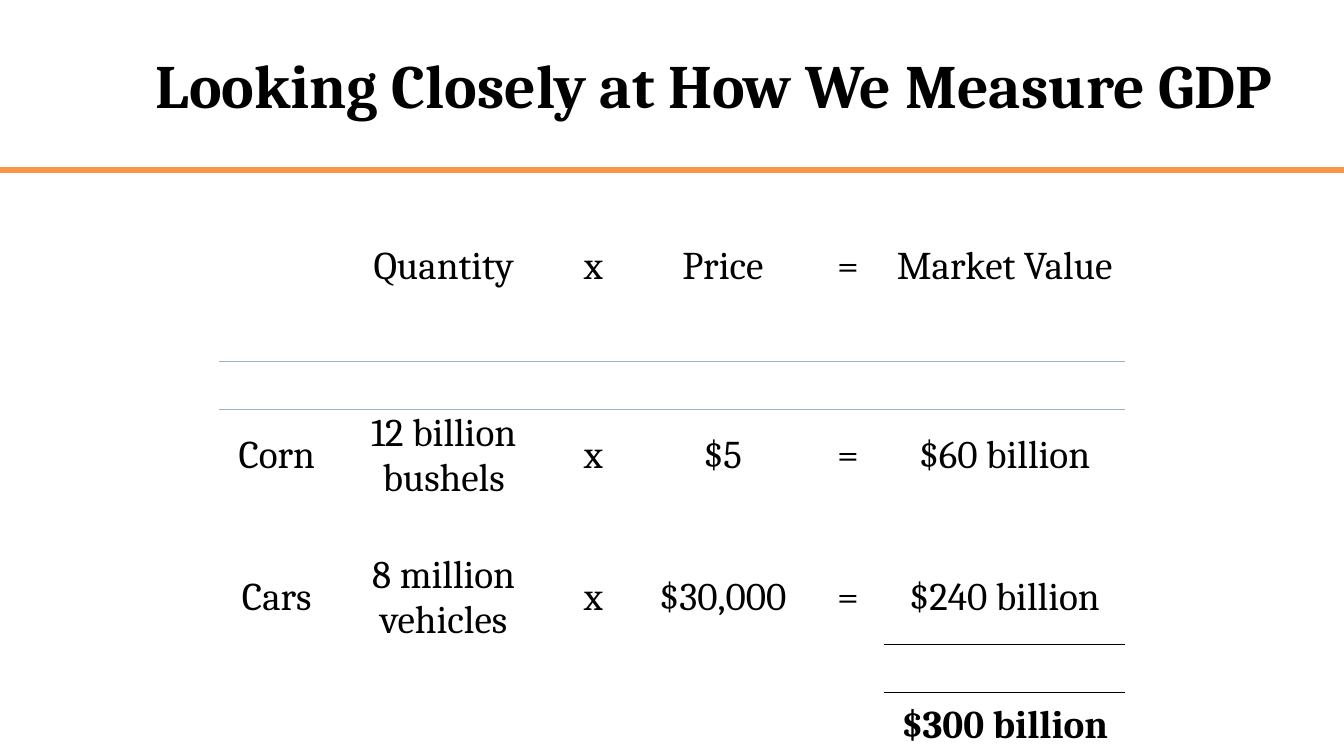
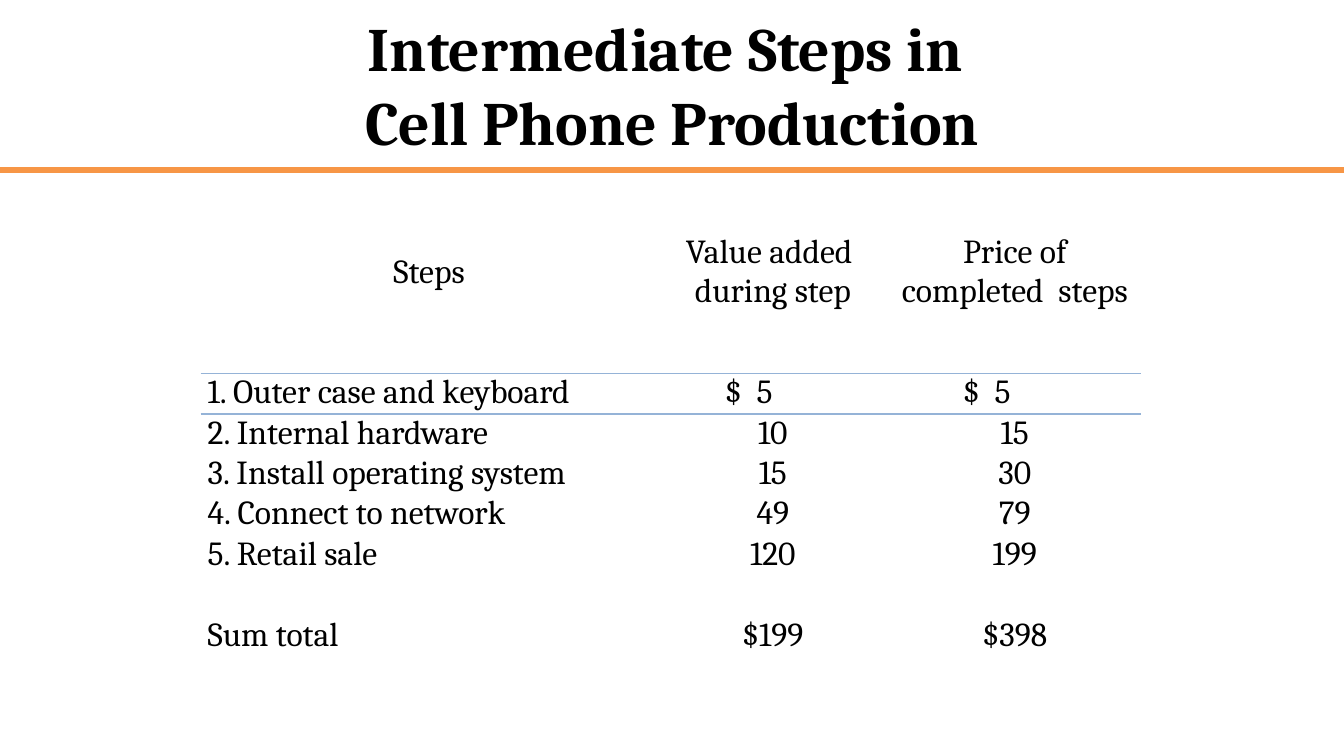
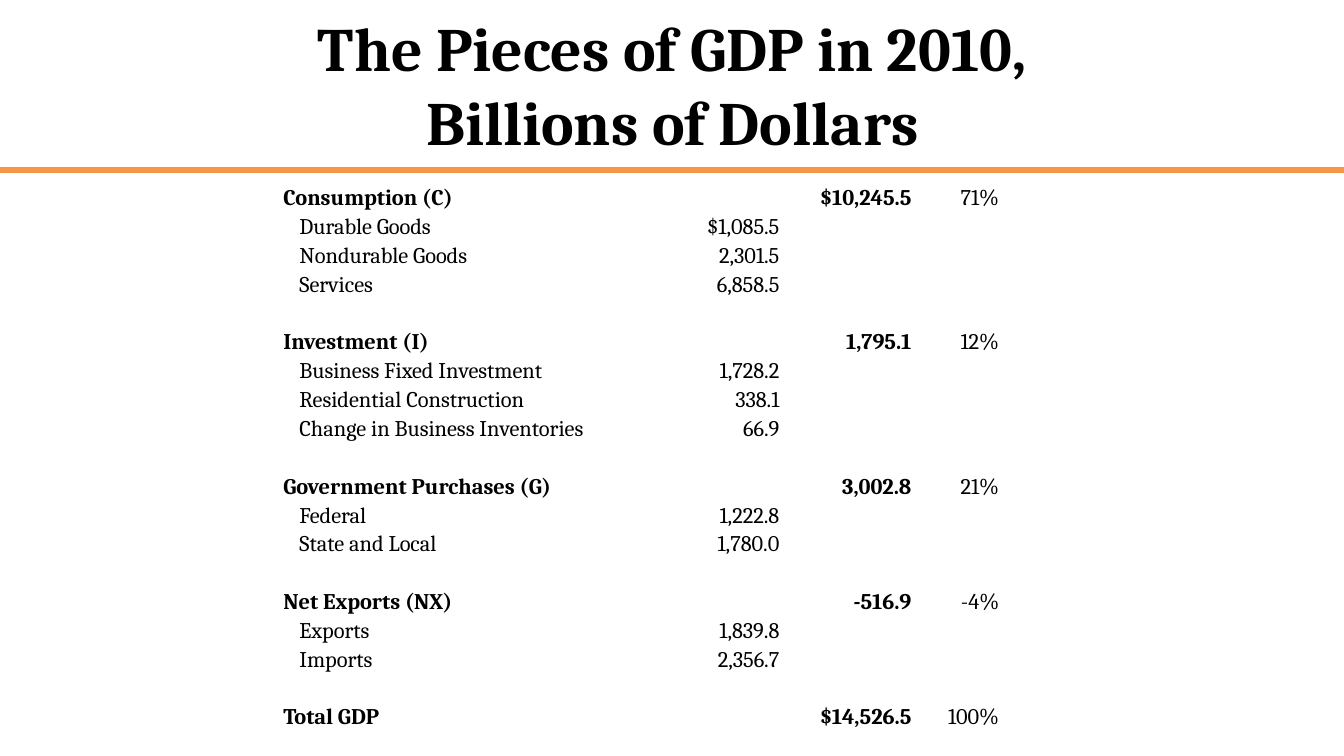
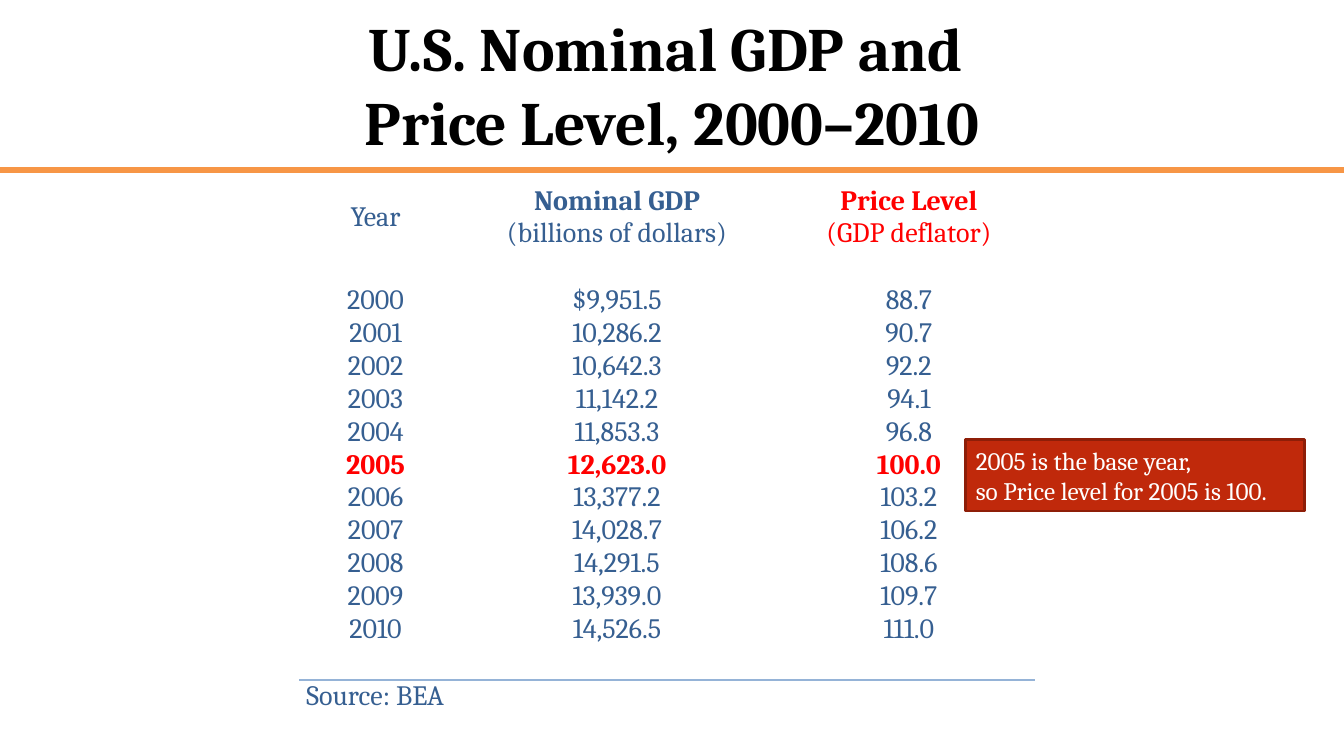
import lxml.etree
import pptx
import pptx.dml.color
import pptx.enum.shapes
import pptx.enum.text
import pptx.oxml.ns
import pptx.util

Inches = pptx.util.Inches
Pt = pptx.util.Pt
qn = pptx.oxml.ns.qn
ALIGN = pptx.enum.text.PP_ALIGN
ANCHOR = pptx.enum.text.MSO_ANCHOR

# Shared look
FONT = "Cambria"
BLACK, WHITE, RED = "000000", "FFFFFF", "FF0000"
ORANGE, NAVY, PALE_BLUE = "F79646", "365F91", "95B3D7"
BRICK, DARK_BRICK = "C0290B", "8E1E08"
SLIDE_WIDTH, SLIDE_HEIGHT = 13.33, 7.5
TITLE_BOX = (2.17, 0, 9, 1.67)
PLAIN_TABLE_STYLE = "{2D5ABB26-0587-4C30-8999-92F81FD0307C}"


def rgb(color):
    return pptx.dml.color.RGBColor.from_string(color)


def place(shape, box):
    shape.left, shape.top, shape.width, shape.height = map(Inches, box)


def add_run(paragraph, text, size, color=BLACK, bold=False):
    run = paragraph.add_run()
    run.text = text
    run.font.name = FONT
    run.font.size = Pt(size)
    run.font.bold = bold
    run.font.color.rgb = rgb(color)


def set_up_layout(presentation):
    """Place the title and the orange rule on the layout all slides use."""
    layout = presentation.slide_layouts.get_by_name("Title Only")
    place(layout.placeholders[0], TITLE_BOX)
    return layout


def add_rule(layout, slide):
    """Draw the rule, then hand it to the layout so every slide shows it."""
    rule = slide.shapes.add_connector(
        pptx.enum.shapes.MSO_CONNECTOR.STRAIGHT,
        0, Inches(1.69), Inches(SLIDE_WIDTH), Inches(1.69))
    rule.line.color.rgb = rgb(ORANGE)
    rule.line.width = Pt(4.5)
    lxml.etree.SubElement(rule.element.spPr, qn("a:effectLst"))
    rule.element.xpath(".//p:cNvPr")[0].set("id", "100")
    layout.shapes.element.append(rule.element)


def add_slide(presentation, layout, title_lines):
    slide = presentation.slides.add_slide(layout)
    frame = slide.shapes.title.text_frame
    frame.auto_size = pptx.enum.text.MSO_AUTO_SIZE.NONE
    frame.vertical_anchor = ANCHOR.MIDDLE
    paragraph = frame.paragraphs[0]
    paragraph.alignment = ALIGN.CENTER
    for index, line in enumerate(title_lines):
        if index:
            paragraph.add_line_break()
        add_run(paragraph, line, 44, bold=True)
    return slide


# Tables
def fill_cell(cell, text, size, style):
    """Write a cell; style(line) gives align, anchor, indent, color, bold."""
    cell.margin_left = cell.margin_right = Inches(0.07)
    cell.margin_top = cell.margin_bottom = 0
    cell.fill.background()
    frame = cell.text_frame
    for line, words in enumerate(text.split("\n")):
        look = style(line)
        paragraph = frame.add_paragraph() if line else frame.paragraphs[0]
        if not words:
            lxml.etree.SubElement(paragraph._p, qn("a:endParaRPr"),
                                  sz=str(size * 100))
            continue
        cell.vertical_anchor = look.get("anchor", ANCHOR.MIDDLE)
        paragraph.alignment = look.get("align", ALIGN.CENTER)
        if "indent" in look:
            properties = paragraph._p.get_or_add_pPr()
            properties.set("marL", str(Inches(look["indent"])))
        add_run(paragraph, words, size, look.get("color", BLACK),
                look.get("bold", False))


def add_table(slide, left, top, columns, heights, rows, size, style):
    frame = slide.shapes.add_table(
        len(rows), len(columns), Inches(left), Inches(top),
        Inches(sum(columns)), Inches(sum(heights)))
    table = frame.table
    table.first_row = table.horz_banding = False
    frame.element.xpath(".//a:tableStyleId")[0].text = PLAIN_TABLE_STYLE
    for column, width in zip(table.columns, columns):
        column.width = Inches(width)
    for row, height in zip(table.rows, heights):
        row.height = Inches(height)
    for r, texts in enumerate(rows):
        for c, text in enumerate(texts):
            fill_cell(table.cell(r, c), text, size,
                      lambda line, r=r, c=c: style(r, c, line))
    return table


def rule_below(table, row, columns, color):
    """Draw a 1 pt line between a row and the next one."""
    for column in columns:
        for r, tag in ((row, "a:lnB"), (row + 1, "a:lnT")):
            properties = table.cell(r, column)._tc.get_or_add_tcPr()
            line = lxml.etree.Element(qn(tag), w=str(Pt(1)))
            fill = lxml.etree.SubElement(line, qn("a:solidFill"))
            lxml.etree.SubElement(fill, qn("a:srgbClr"), val=color)
            properties.insert(0, line)


# Slides
def add_market_value_table(slide):
    blank = [""] * 6
    rows = [
        ["", "Quantity", "x", "Price", "=", "Market Value"],
        blank, blank,
        ["Corn", "12 billion bushels", "x", "$5", "=", "$60 billion"],
        blank,
        ["Cars", "8 million vehicles", "x", "$30,000", "=", "$240 billion"],
        blank,
        ["", "", "", "", "", "$300 billion"],
    ]
    table = add_table(
        slide, 2.17, 2.18, [1.15, 2.16, 0.81, 1.76, 0.72, 2.39],
        [0.93, 0.47, 0.47, 0.93, 0.47, 0.93, 0.47, 0.65], rows, 28,
        lambda row, column, line: {"bold": row == len(rows) - 1})
    rule_below(table, 1, range(6), PALE_BLUE)
    rule_below(table, 5, [5], BLACK)


def add_steps_table(slide):
    rows = [
        ["Steps", "Value added \nduring step", "Price of completed  steps"],
        ["", "", ""],
        ["1. Outer case and keyboard", "$  5", "$  5"],
        ["2. Internal hardware", "10", "15"],
        ["3. Install operating system", "15", "30"],
        ["4. Connect to network", "49", "79"],
        ["5. Retail sale", "120", "199"],
        ["", "", ""],
        ["Sum total", "$199", "$398"],
    ]

    def style(row, column, line):
        if row == 0:
            return {}
        look = {"anchor": ANCHOR.TOP}
        if column == 0 or row == 2:
            look["align"] = ALIGN.LEFT
            look["indent"] = (0, 0.6, 0.67)[column]
        return look

    table = add_table(slide, 1.99, 2.1, [4.53, 2.29, 2.51],
                      [1.2] + [0.4] * 8, rows, 24, style)
    rule_below(table, 1, range(3), PALE_BLUE)


def add_gdp_pieces_table(slide):
    groups = [
        ("Consumption (C)", "$10,245.5", "71%",
         [("Durable Goods", "$1,085.5"), ("Nondurable Goods", "2,301.5"),
          ("Services", "6,858.5")]),
        ("Investment (I)", "1,795.1", "12%",
         [("Business Fixed Investment", "1,728.2"),
          ("Residential Construction", "338.1"),
          ("Change in Business Inventories", "66.9")]),
        ("Government Purchases (G)", "3,002.8", "21%",
         [("Federal", "1,222.8"), ("State and Local", "1,780.0")]),
        ("Net Exports (NX)", "-516.9", "-4%",
         [("Exports", "1,839.8"), ("Imports", "2,356.7")]),
        ("Total GDP", "$14,526.5", "100%", []),
    ]
    rows = []
    for name, total, share, parts in groups:
        if rows:
            rows.append([""] * 4)
        rows.append([name, "", total, share])
        rows.extend([part, value, "", ""] for part, value in parts)

    def style(row, column, line):
        is_group = bool(rows[row][2])
        look = {"anchor": ANCHOR.TOP, "bold": is_group and column < 3,
                "align": ALIGN.RIGHT if column else ALIGN.LEFT}
        if column == 0 and not is_group:
            look["indent"] = 0.16
        return look

    add_table(slide, 2.74, 1.84, [3.89, 1.17, 1.31, 0.87],
              [5.44 / len(rows)] * len(rows), rows, 16, style)


def add_price_level_table(slide):
    nominal_gdp = ["$9,951.5", "10,286.2", "10,642.3", "11,142.2",
                   "11,853.3", "12,623.0", "13,377.2", "14,028.7",
                   "14,291.5", "13,939.0", "14,526.5"]
    price_level = ["88.7", "90.7", "92.2", "94.1", "96.8", "100.0",
                   "103.2", "106.2", "108.6", "109.7", "111.0"]
    years = [str(year) for year in range(2000, 2011)]
    blank = [""] * 3
    rows = [["Year", "Nominal GDP\n(billions of dollars)",
             "Price Level\n(GDP deflator)"], blank]
    rows += [list(row) for row in zip(years, nominal_gdp, price_level)]
    rows += [blank, ["Source: BEA", "", ""]]
    last = len(rows) - 1

    def style(row, column, line):
        if row == last:
            return {"color": NAVY, "align": ALIGN.LEFT, "anchor": ANCHOR.TOP}
        is_base_year = rows[row][0] == "2005"
        is_red = is_base_year or (row == 0 and column == 2)
        is_heading = row == 0 and column > 0 and line == 0
        return {"color": RED if is_red else NAVY,
                "bold": is_base_year or is_heading}

    table = add_table(slide, 2.97, 1.83, [1.51, 3.28, 2.51],
                      [0.65] + [4.24 / 13] * 13 + [0.34], rows, 20, style)
    rule_below(table, last - 1, range(3), PALE_BLUE)
    table.cell(last, 0).merge(table.cell(last, 2))


def add_callout(slide, box, lines):
    shape = slide.shapes.add_shape(
        pptx.enum.shapes.MSO_SHAPE.RECTANGLE, *map(Inches, box))
    shape.shadow.inherit = False
    shape.fill.solid()
    shape.fill.fore_color.rgb = rgb(BRICK)
    shape.line.color.rgb = rgb(DARK_BRICK)
    shape.line.width = Pt(2)
    frame = shape.text_frame
    frame.word_wrap = True
    frame.vertical_anchor = ANCHOR.MIDDLE
    for index, line in enumerate(lines):
        paragraph = frame.add_paragraph() if index else frame.paragraphs[0]
        paragraph.alignment = ALIGN.LEFT
        add_run(paragraph, line, 18, WHITE)


def main():
    presentation = pptx.Presentation()
    presentation.slide_width = Inches(SLIDE_WIDTH)
    presentation.slide_height = Inches(SLIDE_HEIGHT)
    layout = set_up_layout(presentation)

    # Market value of output
    slide = add_slide(presentation, layout,
                      ["Looking Closely at How We Measure GDP"])
    place(slide.shapes.title, (1.14, 0, 11.89, 1.67))
    add_rule(layout, slide)
    add_market_value_table(slide)

    # Value added step by step
    slide = add_slide(presentation, layout,
                      ["Intermediate Steps in ", "Cell Phone Production"])
    add_steps_table(slide)

    # Components of GDP
    slide = add_slide(presentation, layout,
                      ["The Pieces of GDP in 2010, Billions of Dollars"])
    add_gdp_pieces_table(slide)

    # Nominal GDP and the deflator
    slide = add_slide(presentation, layout,
                      ["U.S. Nominal GDP and ", "Price Level, 2000–2010"])
    add_price_level_table(slide)
    add_callout(slide, (9.58, 4.36, 3.36, 0.71),
                ["2005 is the base year,", "so Price level for 2005 is 100."])

    presentation.save("out.pptx")


if __name__ == "__main__":
    main()
